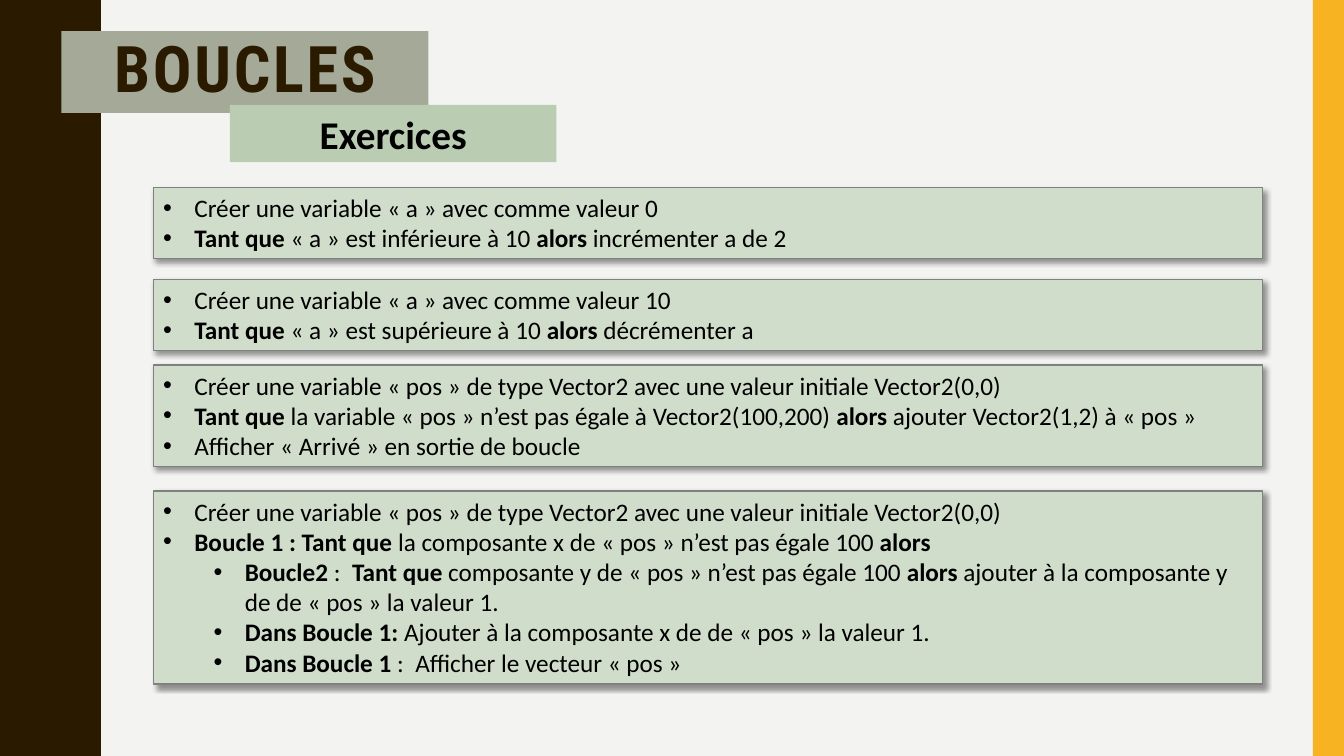
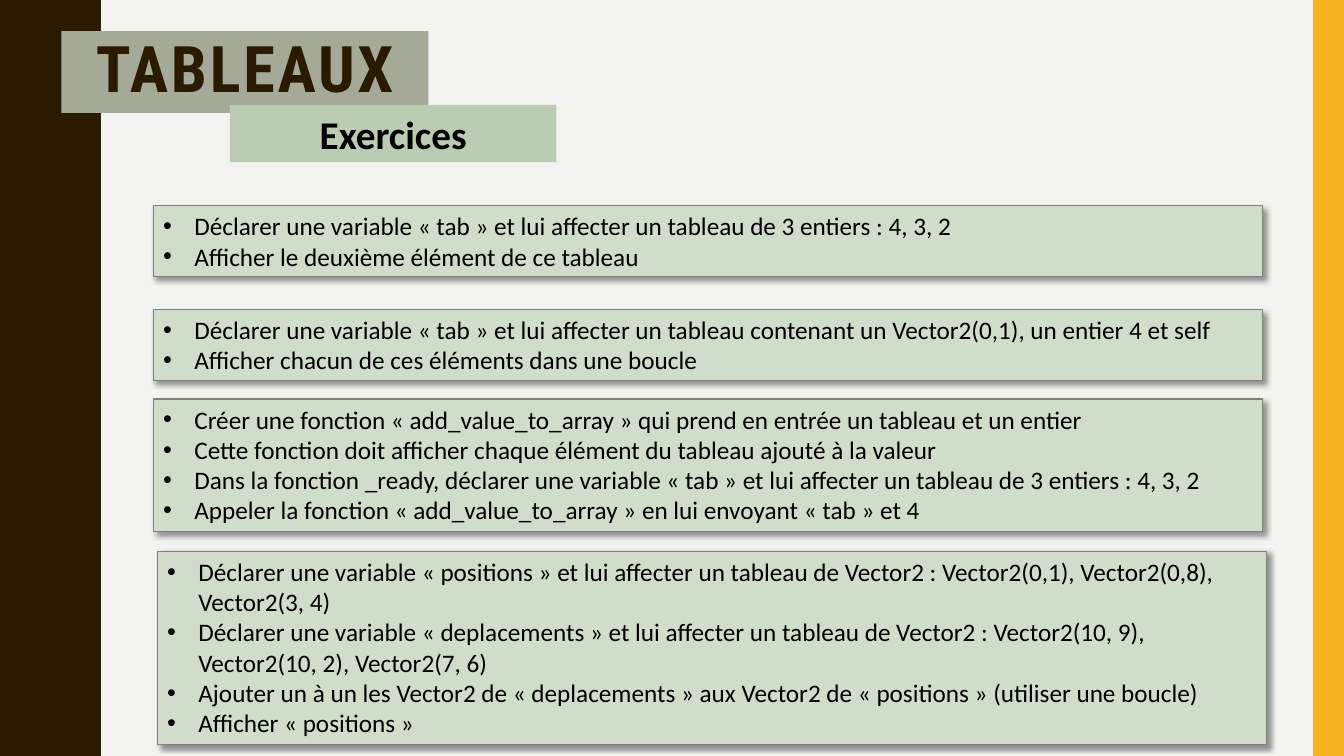
from lxml import etree
from pptx import Presentation
from pptx import util as u
from pptx.dml.color import RGBColor
from pptx.enum import shapes, text
from pptx.oxml import ns

COLORS = {
    "paper": "F3F3F2", "bark": "2A1A00", "gold": "F8B323", "stone": "A4A998",
    "sage": "BACCB2", "mint": "D1DDCB", "grey": "808080", "black": "000000",
}

HALF_WAVE = [
    (0.78, 0), (0.78, 0.07), (0.79, 0.14), (0.8, 0.2), (0.81, 0.25),
    (0.83, 0.29), (0.85, 0.33), (0.87, 0.38), (0.89, 0.42), (0.91, 0.46),
    (0.93, 0.5), (0.95, 0.55), (0.96, 0.61), (0.97, 0.68), (0.97, 0.75),
]
PERIOD = 1.5

SLIDES = [
    ("BOUCLES", [
        (1.52, 1.86, 2, [
            "Créer une variable « a » avec comme valeur 0",
            "**Tant que **« a » est inférieure à 10 **alors** incrémenter a de 2",
        ]),
        (1.52, 2.77, 2, [
            "Créer une variable « a » avec comme valeur 10",
            "**Tant que **« a » est supérieure à 10 **alors** décrémenter a",
        ]),
        (1.52, 3.62, 3, [
            "Créer une variable « pos » de type Vector2 avec une valeur initiale Vector2(0,0)",
            "**Tant que** la variable « pos » n’est pas égale à Vector2(100,200) **alors** "
            "ajouter Vector2(1,2) à « pos »",
            "Afficher « Arrivé » en sortie de boucle",
        ]),
        (1.52, 4.87, 6, [
            "Créer une variable « pos » de type Vector2 avec une valeur initiale Vector2(0,0)",
            "**Boucle 1 : Tant que** la composante x de « pos » n’est pas égale 100 **alors**",
            ">**Boucle2 **:  **Tant que **composante y de « pos » n’est pas égale 100 **alors** "
            "ajouter à la composante y de de « pos » la valeur 1.",
            ">**Dans Boucle 1: **Ajouter à la composante x de de « pos » la valeur 1.",
            ">**Dans Boucle 1 **:  Afficher le vecteur « pos »",
        ]),
    ]),
    ("TABLEAUX", [
        (1.52, 2.04, 2, [
            "Déclarer une variable « tab » et lui affecter un tableau de 3 entiers : 4, 3, 2",
            "Afficher le deuxième élément de ce tableau",
        ]),
        (1.52, 3.07, 2, [
            "Déclarer une variable « tab » et lui affecter un tableau contenant un "
            "Vector2(0,1), un entier 4 et self",
            "Afficher chacun de ces éléments dans une boucle",
        ]),
        (1.52, 3.96, 4, [
            "Créer une fonction « add_value_to_array » qui prend en entrée un tableau et un entier",
            "Cette fonction doit afficher chaque élément du tableau ajouté à la valeur",
            "Dans la fonction _ready, déclarer une variable « tab » et lui affecter un tableau "
            "de 3 entiers : 4, 3, 2",
            "Appeler la fonction « add_value_to_array » en lui envoyant « tab » et 4",
        ]),
        (1.56, 5.47, 6, [
            "Déclarer une variable « positions » et lui affecter un tableau de Vector2 : "
            "Vector2(0,1), Vector2(0,8), Vector2(3, 4)",
            "Déclarer une variable « deplacements » et lui affecter un tableau de Vector2 : "
            "Vector2(10, 9), Vector2(10, 2), Vector2(7, 6)",
            "Ajouter un à un les Vector2 de « deplacements » aux Vector2 de « positions » "
            "(utiliser une boucle)",
            "Afficher « positions »",
        ]),
    ]),
]


class Deck:
    """Hold the shared style and the slide being drawn."""

    def __init__(self):
        self.prs = Presentation()
        self.prs.slide_width = u.Inches(13.33)
        self.prs.slide_height = u.Inches(7.5)
        self.s = None

    def rgb(self, name):
        return RGBColor.from_string(COLORS[name])

    def paint(self, sp, color):
        sp.shadow.inherit = False
        sp.fill.solid()
        sp.fill.fore_color.rgb = self.rgb(color)
        sp.line.fill.background()

    def rect(self, x, y, w, h, color):
        sp = self.s.shapes.add_shape(
            shapes.MSO_SHAPE.RECTANGLE, *(u.Inches(v) for v in (x, y, w, h)))
        self.paint(sp, color)
        return sp

    def style(self, p, size, color="black", name="Calibri", bold=None):
        p.font.size = u.Pt(size)
        p.font.name = name
        p.font.bold = bold
        p.font.color.rgb = self.rgb(color)

    def label(self, sp, words, size, **font):
        tf = sp.text_frame
        tf.word_wrap = True
        tf.vertical_anchor = text.MSO_ANCHOR.MIDDLE
        p = tf.paragraphs[0]
        p.alignment = text.PP_ALIGN.CENTER
        r = p.add_run()
        r.text = words
        self.style(p, size, bold=True, **font)
        return p, r

    def wave(self):
        period = HALF_WAVE + [(x, PERIOD - y) for x, y in HALF_WAVE[-2::-1]]
        edge = [(x, y + i * PERIOD) for i in range(5) for x, y in period]
        fb = self.s.shapes.build_freeform(0, 0, scale=u.Inches(1))
        fb.add_line_segments(edge + [(0, 7.5)], close=True)
        self.paint(fb.convert_to_shape(), "bark")

    def new_slide(self, title):
        self.s = self.prs.slides.add_slide(self.prs.slide_layouts[6])
        fill = self.s.background.fill
        fill.solid()
        fill.fore_color.rgb = self.rgb("paper")
        self.wave()
        self.rect(13.02, 0, 0.31, 7.5, "gold")
        p, r = self.label(self.rect(0.61, 0.31, 3.64, 0.81, "stone"), title, 45.9,
                          color="bark", name="Roboto Condensed")
        p.line_spacing = 0.9
        r.font._element.set("spc", "200")
        self.label(self.rect(2.28, 1.04, 3.24, 0.57, "sage"), "Exercices", 28)

    def drop_shadow(self, sp):
        effects = sp._element.spPr.find(ns.qn("a:effectLst"))
        shadow = etree.SubElement(
            effects, ns.qn("a:outerShdw"), blurRad=str(u.Pt(4)), dist=str(u.Pt(3)),
            dir="2700000", algn="tl", rotWithShape="0")
        clr = etree.SubElement(shadow, ns.qn("a:srgbClr"), val=COLORS["black"])
        etree.SubElement(clr, ns.qn("a:alpha"), val="40000")

    def bullet(self, p, level):
        p.level = level
        pPr = p._p.get_or_add_pPr()
        pPr.set("marL", str(u.Inches(0.31 + 0.5 * level)))
        pPr.set("indent", str(u.Inches(-0.31)))
        font = etree.Element(ns.qn("a:buFont"), typeface="Arial")
        char = etree.Element(ns.qn("a:buChar"), char="•")
        pPr.insert(0, font)
        pPr.insert(1, char)

    def exercise(self, x, y, lines, items):
        sp = self.rect(x, y, 11, 0.1 + 0.303 * lines, "mint")
        sp.line.color.rgb = self.rgb("grey")
        sp.line.width = u.Pt(1)
        self.drop_shadow(sp)
        tf = sp.text_frame
        tf.word_wrap = True
        tf.auto_size = text.MSO_AUTO_SIZE.SHAPE_TO_FIT_TEXT
        tf.vertical_anchor = text.MSO_ANCHOR.TOP
        for i, item in enumerate(items):
            p = tf.add_paragraph() if i else tf.paragraphs[0]
            p.alignment = text.PP_ALIGN.LEFT
            self.style(p, 18)
            self.bullet(p, int(item.startswith(">")))
            for j, part in enumerate(item.removeprefix(">").split("**")):
                if part:
                    r = p.add_run()
                    r.text = part
                    r.font.bold = j % 2 == 1


def main():
    deck = Deck()
    for title, exercises in SLIDES:
        deck.new_slide(title)
        for exercise in exercises:
            deck.exercise(*exercise)
    deck.prs.save("out.pptx")


if __name__ == "__main__":
    main()
